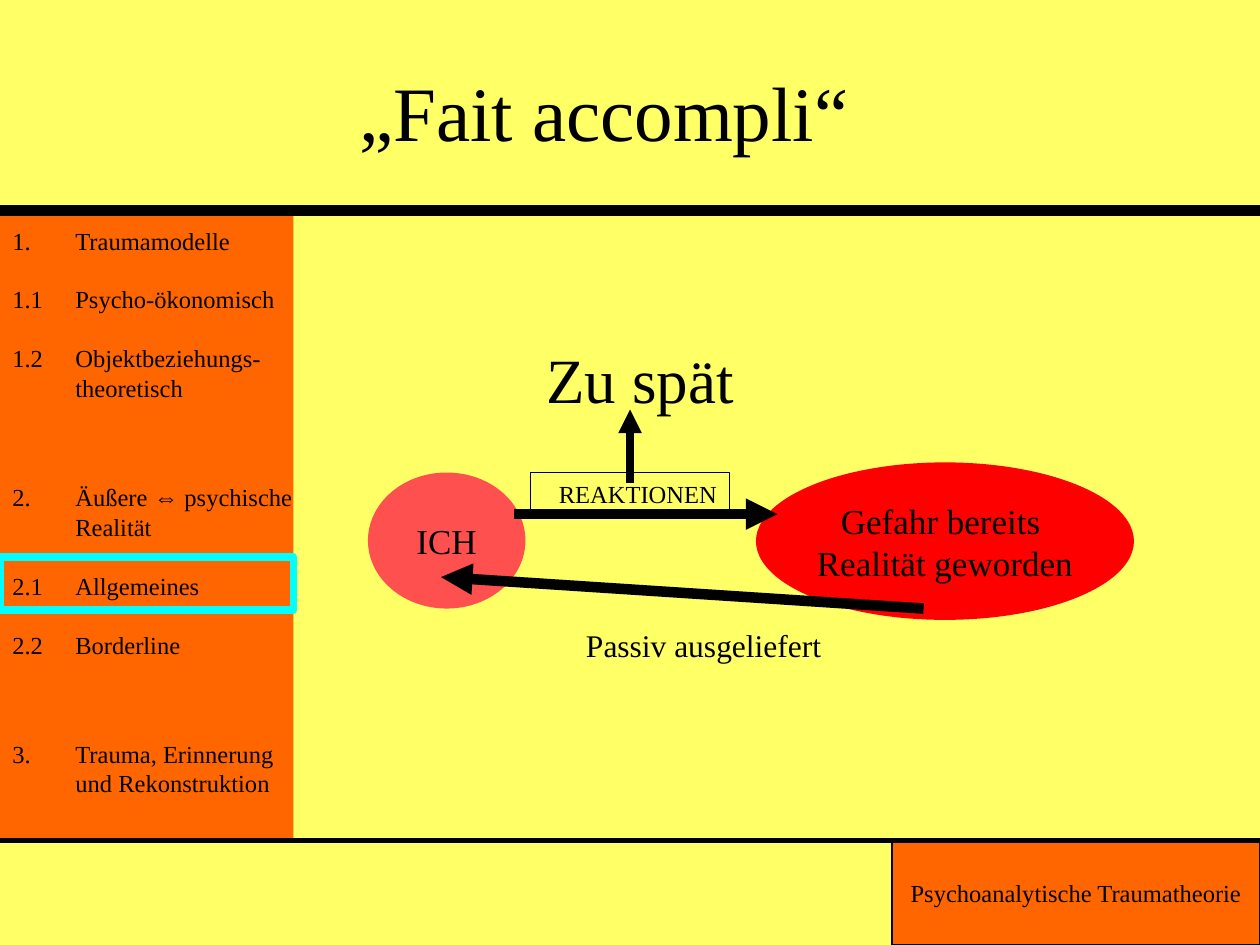
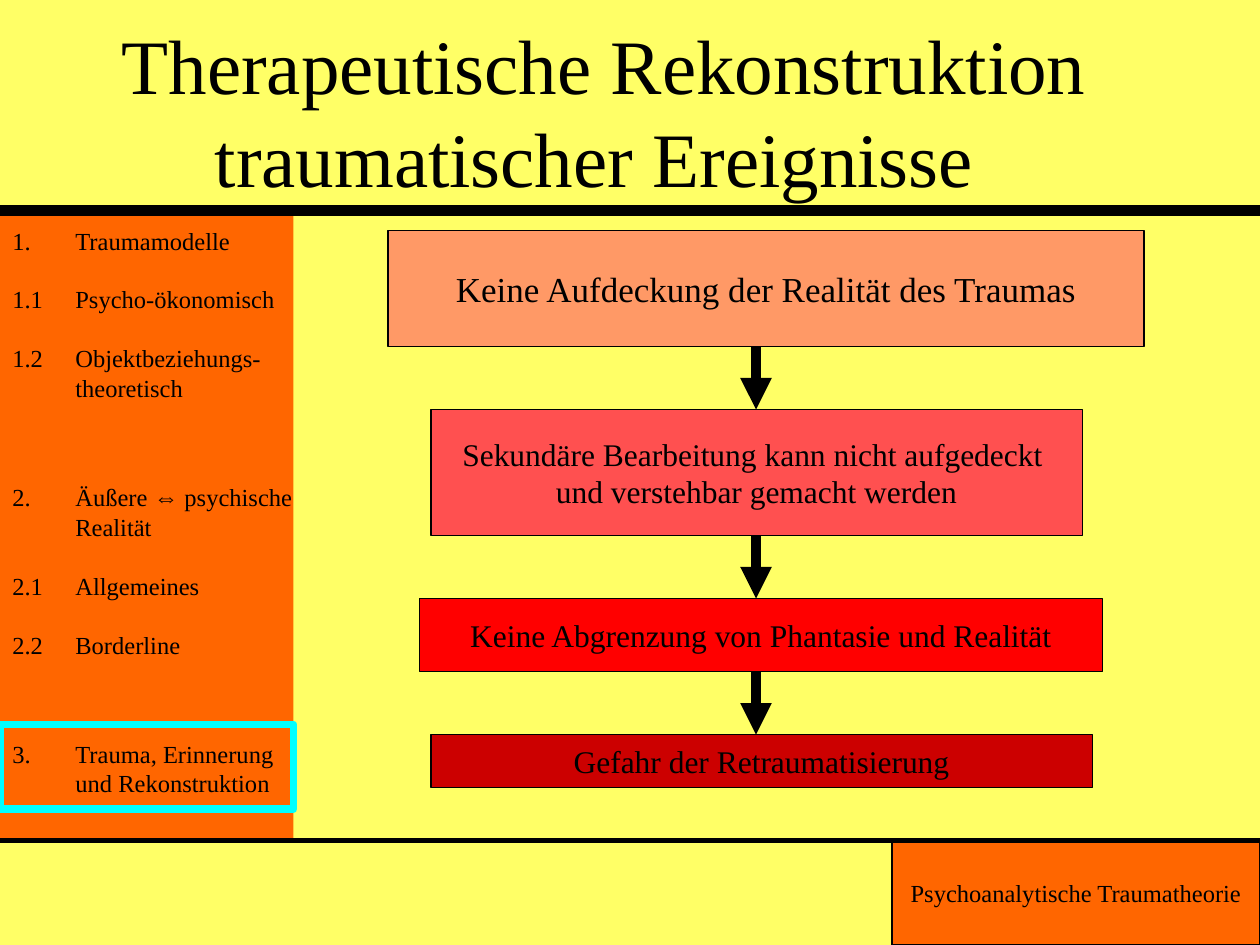
import dataclasses

import lxml.etree
import pptx
import pptx.dml.color
import pptx.enum.shapes
import pptx.enum.text
import pptx.oxml.ns
import pptx.util

Inches = pptx.util.Inches
SHAPE = pptx.enum.shapes.MSO_SHAPE
ALIGN = pptx.enum.text.PP_ALIGN
ANCHOR = pptx.enum.text.MSO_ANCHOR


@dataclasses.dataclass(frozen=True)
class Theme:
    font: str = "Times New Roman"
    symbol_font: str = "Arial"
    background: str = "FFFF66"
    ink: str = "000000"
    band: str = "FF6600"
    marker: str = "00FFFF"
    peach: str = "FF9966"
    coral: str = "FF5050"
    red: str = "FF0000"
    dark_red: str = "CC0000"
    title_size: int = 44
    callout_size: int = 36
    large_size: int = 20
    body_size: int = 18
    small_size: int = 14
    thin: float = 0.75
    medium: float = 4.5
    thick: float = 6


theme = Theme()
rgb = pptx.dml.color.RGBColor.from_string


def add_box(page, kind, place, text="", size=theme.small_size, fill=None, line=None,
            line_width=theme.thin, align=ALIGN.CENTER, anchor=ANCHOR.MIDDLE, wrap=False):
    """Add a shape, or a text box when kind is None."""
    place = [Inches(length) for length in place]
    if kind is None:
        box = page.shapes.add_textbox(*place)
    else:
        box = page.shapes.add_shape(kind, *place)
        box.shadow.inherit = False
    if fill:
        box.fill.solid()
        box.fill.fore_color.rgb = rgb(fill)
    else:
        box.fill.background()
    if line:
        box.line.color.rgb = rgb(line)
        box.line.width = pptx.util.Pt(line_width)
    else:
        box.line.fill.background()
    frame = box.text_frame
    frame.text = text
    frame.word_wrap = wrap
    frame.vertical_anchor = anchor
    for para in frame.paragraphs:
        para.alignment = align
        para.font.name = theme.font
        para.font.size = pptx.util.Pt(size)
        para.font.color.rgb = rgb(theme.ink)
        for span in para.runs:
            span.font.name = theme.font
            span.font.size = pptx.util.Pt(size)
            span.font.color.rgb = rgb(theme.ink)
    return box


def add_line(page, start, end, width, arrow=False):
    """Add a black straight line, with an arrowhead at its end if wanted."""
    connector = page.shapes.add_connector(
        pptx.enum.shapes.MSO_CONNECTOR.STRAIGHT,
        *[Inches(length) for length in (*start, *end)])
    connector.line.color.rgb = rgb(theme.ink)
    connector.line.width = pptx.util.Pt(width)
    if arrow:
        outline = connector.line._get_or_add_ln()
        lxml.etree.SubElement(outline, pptx.oxml.ns.qn("a:tailEnd"), type="triangle")
    lxml.etree.SubElement(connector._element.spPr, pptx.oxml.ns.qn("a:effectLst"))


# Outline lines: space before in points, number, wording
entry_gap, chapter_gap = 16.9, 45.6
outline_entries = [
    (0, "1.", "Traumamodelle"),
    (entry_gap, "1.1", "Psycho-ökonomisch"),
    (entry_gap, "1.2", "Objektbeziehungs-"),
    (0, "", "theoretisch"),
    (chapter_gap, "2.", "Äußere ⇔ psychische"),
    (0, "", "Realität"),
    (entry_gap, "2.1", "Allgemeines"),
    (entry_gap, "2.2", "Borderline"),
    (chapter_gap, "3.", "Trauma, Erinnerung"),
    (0, "", "und Rekonstruktion"),
]

# Title, then top and height of the outline marker
page_heads = [
    ("„Fait accompli“", 4.42, 0.42),
    ("Therapeutische Rekonstruktion traumatischer Ereignisse ", 5.75, 0.67),
]

deck = pptx.Presentation()
deck.slide_width, deck.slide_height = Inches(10), Inches(7.5)
band_top, band_bottom, band_width = 1.67, 6.67, 2.33

# Shared frame of both slides
for title, marker_top, marker_height in page_heads:
    page = deck.slides.add_slide(deck.slide_layouts[6])
    page.background.fill.solid()
    page.background.fill.fore_color.rgb = rgb(theme.background)

    # Outline band
    band = add_box(page, SHAPE.RECTANGLE, (0, band_top, band_width, band_bottom - band_top),
                   fill=theme.band, align=ALIGN.LEFT, anchor=ANCHOR.TOP)
    frame = band.text_frame
    frame.margin_top = Inches(0.12)
    for index, (gap, number, wording) in enumerate(outline_entries):
        para = frame.add_paragraph() if index else frame.paragraphs[0]
        para.alignment = ALIGN.LEFT
        para.space_before = pptx.util.Pt(gap)
        properties = para._p.get_or_add_pPr()
        properties.set("marL", str(Inches(0.5)))
        properties.set("indent", str(-Inches(0.5)))
        for piece in filter(None, f"{number}\t{wording}".partition("⇔")):
            span = para.add_run()
            span.text = piece
            span.font.name = theme.symbol_font if piece == "⇔" else theme.font
            span.font.size = pptx.util.Pt(theme.small_size)
            span.font.color.rgb = rgb(theme.ink)

    # Footer, rules, title and marker
    add_box(page, SHAPE.RECTANGLE, (7.08, band_bottom, 2.92, 0.83),
            "Psychoanalytische Traumatheorie", fill=theme.band, line=theme.ink)
    add_line(page, (0, band_bottom), (10, band_bottom), 3)
    add_line(page, (0, band_top), (10, band_top), theme.thick)
    add_box(page, None, (0.42, 0.25, 8.75, 1.25), title, theme.title_size, wrap=True)
    add_box(page, SHAPE.RECTANGLE, (0, marker_top, band_width, marker_height),
            line=theme.marker, line_width=theme.medium)

accompli_page, reconstruction_page = deck.slides

# Slide 1: the ego and the danger
add_box(accompli_page, SHAPE.OVAL, (6, 3.67, 3, 1.25), "Gefahr bereits \nRealität geworden",
        theme.large_size, fill=theme.red)
add_box(accompli_page, SHAPE.OVAL, (2.92, 3.75, 1.25, 1.08), "ICH",
        theme.large_size, fill=theme.coral)

# Slide 1: reactions come too late
add_line(accompli_page, (4.08, 4.08), (6.17, 4.08), theme.thick, arrow=True)
add_box(accompli_page, SHAPE.RECTANGLE, (4.21, 3.75, 1.58, 0.34), "REAKTIONEN",
        line=theme.ink, align=ALIGN.RIGHT, anchor=ANCHOR.TOP, wrap=True)
add_line(accompli_page, (5, 3.83), (5, 3.25), theme.medium, arrow=True)
add_box(accompli_page, None, (4.08, 2.75, 2, 0.5), "Zu spät", theme.callout_size)

# Slide 1: passive exposure
add_line(accompli_page, (7.33, 4.83), (3.5, 4.58), theme.thick, arrow=True)
add_box(accompli_page, None, (4.17, 4.92, 2.83, 0.4), "Passiv ausgeliefert",
        theme.body_size, anchor=ANCHOR.TOP, wrap=True)

# Slide 2: chain of steps, each an arrow's length below the last
steps = [
    (3.08, 6, 0.92, theme.peach, theme.large_size,
     "Keine Aufdeckung der Realität des Traumas"),
    (3.42, 5.17, 1, theme.coral, theme.body_size,
     "Sekundäre Bearbeitung kann nicht aufgedeckt \nund verstehbar gemacht werden"),
    (3.33, 5.42, 0.58, theme.red, theme.body_size,
     "Keine Abgrenzung von Phantasie und Realität"),
    (3.42, 5.25, 0.42, theme.dark_red, theme.body_size,
     "Gefahr der Retraumatisierung"),
]
step_top, arrow_x, arrow_length = 1.83, 6, 0.5
for index, (left, width, height, color, size, wording) in enumerate(steps):
    if index:
        add_line(reconstruction_page, (arrow_x, step_top - arrow_length),
                 (arrow_x, step_top), theme.thick, arrow=True)
    add_box(reconstruction_page, SHAPE.RECTANGLE, (left, step_top, width, height),
            wording, size, fill=color, line=theme.ink)
    step_top += height + arrow_length

deck.save("out.pptx")
